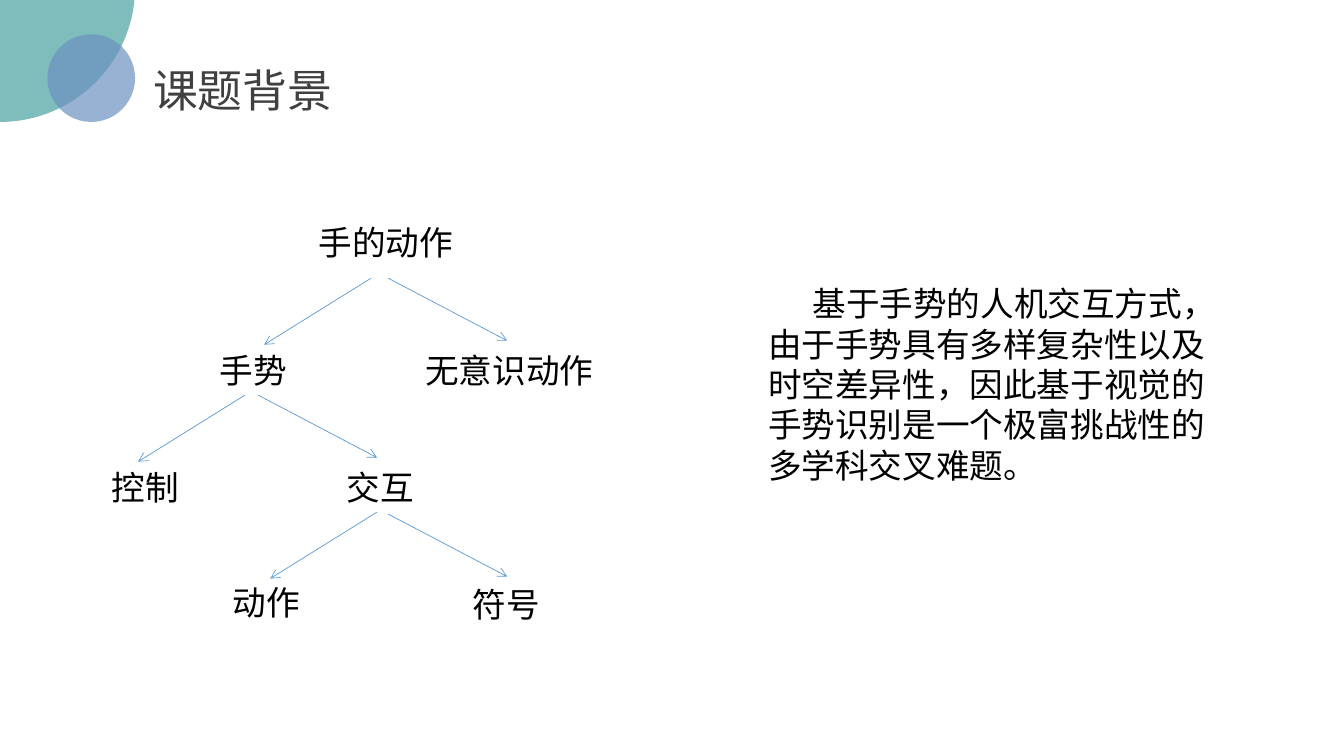
from lxml import etree
from pptx import Presentation
from pptx import util as u
from pptx.dml.color import RGBColor
from pptx.enum import shapes
from pptx.oxml.ns import qn

COLORS = {"teal": "48A2A0", "blue": "6C92C0", "title": "404040",
          "body": "000000", "arrow": "5B9BD5"}
FONT = "Noto Sans CJK SC"

deck = Presentation()
deck.slide_width, deck.slide_height = u.Inches(13.33), u.Inches(7.5)
slide = deck.slides.add_slide(deck.slide_layouts[6])


def add_text(content, left, top, width, height, size=24, color="body"):
    """Add a wrapped text box and return its paragraph."""
    box = slide.shapes.add_textbox(*map(u.Inches, (left, top, width, height)))
    box.text_frame.word_wrap = True
    paragraph = box.text_frame.paragraphs[0]
    paragraph.text = content
    paragraph.line_spacing = u.Pt(size * 1.2)
    font = paragraph.runs[0].font
    font.size, font.name = u.Pt(size), FONT
    font.color.rgb = RGBColor.from_string(COLORS[color])
    east_asian = etree.SubElement(paragraph.runs[0]._r.rPr, qn("a:ea"))
    east_asian.set("typeface", FONT)
    return paragraph


# Corner circles and title
for left, top, diameter, color in [(-1.34, -1.47, 2.68, "teal"),
                                   (0.47, 0.34, 0.87, "blue")]:
    circle = slide.shapes.add_shape(
        shapes.MSO_SHAPE.OVAL,
        *map(u.Inches, (left, top, diameter, diameter)))
    circle.shadow.inherit = False
    circle.line.fill.background()
    circle.fill.solid()
    circle.fill.fore_color.rgb = RGBColor.from_string(COLORS[color])
    tint = circle.fill._xPr.find(qn("a:solidFill"))[0]
    etree.SubElement(tint, qn("a:alpha")).set("val", "70000")

add_text("课题背景", 1.42, 0.57, 2.18, 0.64, size=32, color="title")

# Tree of hand movements
tree_nodes = [
    ("手的动作", 3.06, 2.15, 1.71),
    ("手势", 2.08, 3.42, 1.13),
    ("无意识动作", 4.12, 3.42, 1.96),
    ("控制", 1.01, 4.58, 1.06),
    ("交互", 3.34, 4.58, 1.1),
    ("动作", 2.21, 5.72, 1.13),
    ("符号", 4.59, 5.74, 1.33),
]
for label, left, top, width in tree_nodes:
    add_text(label, left, top, width, 0.5)

# Every branch to one side has the same run and drop
LEFT_BRANCH, RIGHT_BRANCH = (-1.06, 0.66), (1.18, 0.62)
branches = [
    (3.68, 2.76, LEFT_BRANCH), (3.85, 2.76, RIGHT_BRANCH),
    (2.43, 3.92, LEFT_BRANCH), (2.56, 3.92, RIGHT_BRANCH),
    (3.74, 5.08, LEFT_BRANCH), (3.85, 5.1, RIGHT_BRANCH),
]
for x, y, (run, drop) in branches:
    arrow = slide.shapes.add_connector(
        shapes.MSO_CONNECTOR.STRAIGHT,
        *map(u.Inches, (x, y, x + run, y + drop)))
    arrow.line.width = u.Pt(0.5)
    arrow.line.color.rgb = RGBColor.from_string(COLORS["arrow"])
    etree.SubElement(arrow.line._get_or_add_ln(),
                     qn("a:tailEnd")).set("type", "arrow")
    etree.SubElement(arrow._element.spPr, qn("a:effectLst"))

# Explanation with an indented first line
explanation = add_text(
    "基于手势的人机交互方式，由于手势具有多样复杂性以及时空差异性，"
    "因此基于视觉的手势识别是一个极富挑战性的多学科交叉难题。",
    7.52, 2.76, 4.6, 2.12)
explanation._p.get_or_add_pPr().set("indent", str(u.Inches(0.44)))

deck.save("out.pptx")
